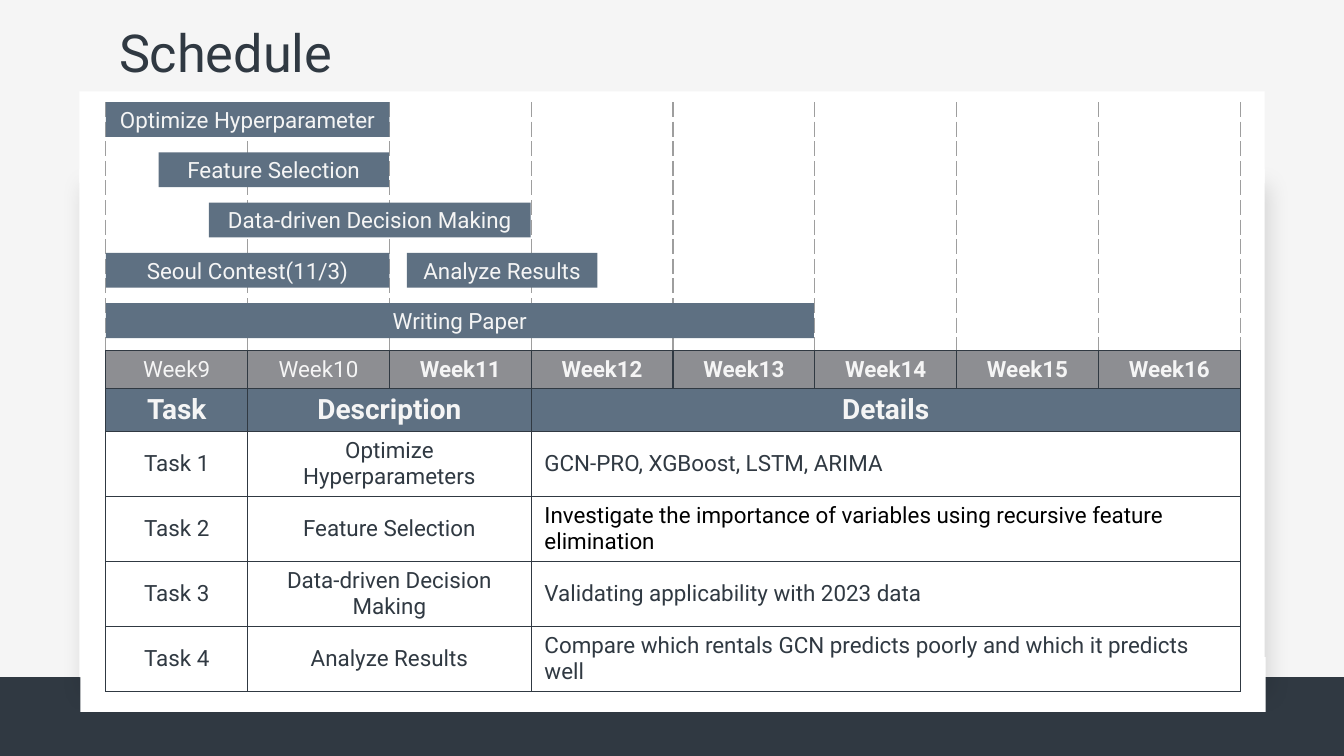
from typing import NamedTuple, Optional

from lxml import etree
from pptx import Presentation
from pptx.dml.color import RGBColor
from pptx.enum.shapes import MSO_SHAPE
from pptx.enum.text import MSO_ANCHOR, PP_ALIGN
from pptx.oxml.ns import qn
from pptx.util import Cm, Pt

RECTANGLE = MSO_SHAPE.RECTANGLE
ROUNDED = MSO_SHAPE.ROUNDED_RECTANGLE
SNIPPED = MSO_SHAPE.SNIP_2_DIAG_RECTANGLE
MIDDLE = MSO_ANCHOR.MIDDLE
TOP = MSO_ANCHOR.TOP
CENTER = PP_ALIGN.CENTER
LEFT = PP_ALIGN.LEFT

COLORS = {
    "background": "F5F5F5",
    "dark": "303942",
    "panel": "FFFFFF",
    "bar": "5E7082",
    "week": "8D8E92",
    "grid": "9E9E9E",
    "black": "000000",
}
FONT = "Roboto"
INSET = 0.25
TABLE_LEFT, TABLE_TOP = 2.0, 1.93
COLUMN_WIDTH = 2.68
ROW_HEIGHTS = [0.96, 0.96, 2.78, 0.72, 0.8] + [1.23] * 4
CHART_ROWS = 3
SPANS = [(0, 0), (1, 2), (3, 7)]
BAR_PITCH, BAR_HEIGHT = 0.95, 0.66


class Box(NamedTuple):
    left: float
    top: float
    width: float
    height: float


class Bar(NamedTuple):
    label: str
    lane: int
    left: float
    width: float


class Task(NamedTuple):
    name: str
    description: str
    details: str
    details_color: str = "dark"


BARS = [
    Bar("Optimize Hyperparameter", 0, 2.0, 5.36),
    Bar("Feature Selection", 1, 3.0, 4.35),
    Bar("Data-driven Decision Making", 2, 3.95, 6.08),
    Bar("Analyze Results", 3, 7.69, 3.6),
    Bar("Writing Paper", 4, 2.0, 13.38),
    Bar("Seoul Contest(11/3)", 3, 2.0, 5.36),
]
TASKS = [
    Task("Task 1", "Optimize Hyperparameters", "GCN-PRO, XGBoost, LSTM, ARIMA"),
    Task("Task 2", "Feature Selection",
         "Investigate the importance of variables using recursive feature elimination", "black"),
    Task("Task 3", "Data-driven Decision Making", "Validating applicability with 2023 data"),
    Task("Task 4", "Analyze Results",
         "Compare which rentals GCN predicts poorly and which it predicts well"),
]


def rgb(name: str) -> RGBColor:
    return RGBColor.from_string(COLORS[name])


def write(paragraph, text: str, size: float, color: str, bold=False, alignment=CENTER) -> None:
    paragraph.text = text
    paragraph.alignment = alignment
    font = paragraph.font
    font.name, font.size, font.bold = FONT, Pt(size), bold
    font.color.rgb = rgb(color)


def add_block(slide, kind, box: Box, color: str):
    shape = slide.shapes.add_shape(kind, *map(Cm, box))
    shape.shadow.inherit = False
    shape.fill.solid()
    shape.fill.fore_color.rgb = rgb(color)
    shape.line.fill.background()
    for index in range(len(shape.adjustments)):
        shape.adjustments[index] = 0
    return shape


def add_soft_shadow(shape) -> None:
    effects = shape._element.spPr.find(qn("a:effectLst"))
    shadow = etree.SubElement(effects, qn("a:outerShdw"), blurRad=str(Pt(12.4)),
                              dist=str(Pt(9)), dir=str(76 * 60000), algn="bl", rotWithShape="0")
    color = etree.SubElement(shadow, qn("a:srgbClr"), val=COLORS["black"])
    etree.SubElement(color, qn("a:alpha"), val="13000")


def add_title(slide, text: str) -> None:
    frame = slide.shapes.add_textbox(Cm(2.0), Cm(0.13), Cm(21.4), Cm(1.6)).text_frame
    frame.word_wrap = True
    frame.vertical_anchor = TOP
    frame.margin_left = frame.margin_right = Cm(INSET)
    frame.margin_top = frame.margin_bottom = Cm(INSET)
    write(frame.paragraphs[0], text, 28, "dark", alignment=LEFT)


def add_bar(slide, bar: Bar) -> None:
    box = Box(bar.left, TABLE_TOP + bar.lane * BAR_PITCH, bar.width, BAR_HEIGHT)
    frame = add_block(slide, ROUNDED, box, "bar").text_frame
    frame.word_wrap = True
    frame.vertical_anchor = MIDDLE
    frame.margin_left = frame.margin_right = Cm(INSET)
    frame.margin_top = frame.margin_bottom = 0
    write(frame.paragraphs[0], bar.label, 12, "background")


def set_border(cell, side: str, color: Optional[str], dash: str = "solid") -> None:
    line = etree.SubElement(cell._tc.get_or_add_tcPr(), qn(f"a:ln{side}"), w=str(Pt(0.75)))
    if color is None:
        etree.SubElement(line, qn("a:noFill"))
        return
    fill = etree.SubElement(line, qn("a:solidFill"))
    etree.SubElement(fill, qn("a:srgbClr"), val=COLORS[color])
    etree.SubElement(line, qn("a:prstDash"), val=dash)


def style_cell(cell, row: int) -> None:
    cell.margin_left = cell.margin_right = Cm(INSET)
    cell.margin_top = cell.margin_bottom = 0
    cell.vertical_anchor = MIDDLE
    in_chart = row < CHART_ROWS
    for side in "LR":
        set_border(cell, side, "grid" if in_chart else "dark", "dash" if in_chart else "solid")
    set_border(cell, "T", None if in_chart else "dark")
    set_border(cell, "B", None if row < CHART_ROWS - 1 else "dark")
    fill_color = {CHART_ROWS: "week", CHART_ROWS + 1: "bar"}.get(row)
    if fill_color:
        cell.fill.solid()
        cell.fill.fore_color.rgb = rgb(fill_color)
    else:
        cell.fill.background()


def add_schedule_table(slide) -> None:
    table = slide.shapes.add_table(
        len(ROW_HEIGHTS), 8, Cm(TABLE_LEFT), Cm(TABLE_TOP),
        Cm(8 * COLUMN_WIDTH), Cm(sum(ROW_HEIGHTS))).table
    table.first_row = table.horz_banding = False
    for column in table.columns:
        column.width = Cm(COLUMN_WIDTH)
    for row, height in enumerate(ROW_HEIGHTS):
        table.rows[row].height = Cm(height)
        for column in range(8):
            style_cell(table.cell(row, column), row)

    for column in range(8):
        paragraph = table.cell(CHART_ROWS, column).text_frame.paragraphs[0]
        write(paragraph, f"Week{column + 9}", 12, "background", bold=column >= 2)

    header = Task("Task", "Description", "Details", "background")
    for row, task in enumerate([header] + TASKS, CHART_ROWS + 1):
        is_header = task is header
        for index, (first, last) in enumerate(SPANS):
            cell = table.cell(row, first)
            if last > first:
                cell.merge(table.cell(row, last))
            is_details = index == 2
            color = task.details_color if is_details or is_header else "dark"
            write(cell.text_frame.paragraphs[0], task[index], 15 if is_header else 12, color,
                  bold=is_header, alignment=LEFT if is_details and not is_header else CENTER)


def main() -> None:
    presentation = Presentation()
    presentation.slide_width, presentation.slide_height = Cm(25.4), Cm(14.29)
    slide = presentation.slides.add_slide(presentation.slide_layouts[6])
    slide.background.fill.solid()
    slide.background.fill.fore_color.rgb = rgb("background")

    add_block(slide, SNIPPED, Box(-0.08, 12.8, 25.63, 1.6), "dark")
    add_soft_shadow(add_block(slide, RECTANGLE, Box(1.5, 3.2, 22.4, 9.6), "panel"))
    add_title(slide, "Schedule")
    add_block(slide, RECTANGLE, Box(1.52, 12.42, 22.4, 1.04), "panel")
    add_block(slide, RECTANGLE, Box(1.5, 1.73, 22.4, 1.73), "panel")
    add_schedule_table(slide)
    for bar in BARS:
        add_bar(slide, bar)
    presentation.save("out.pptx")


if __name__ == "__main__":
    main()
